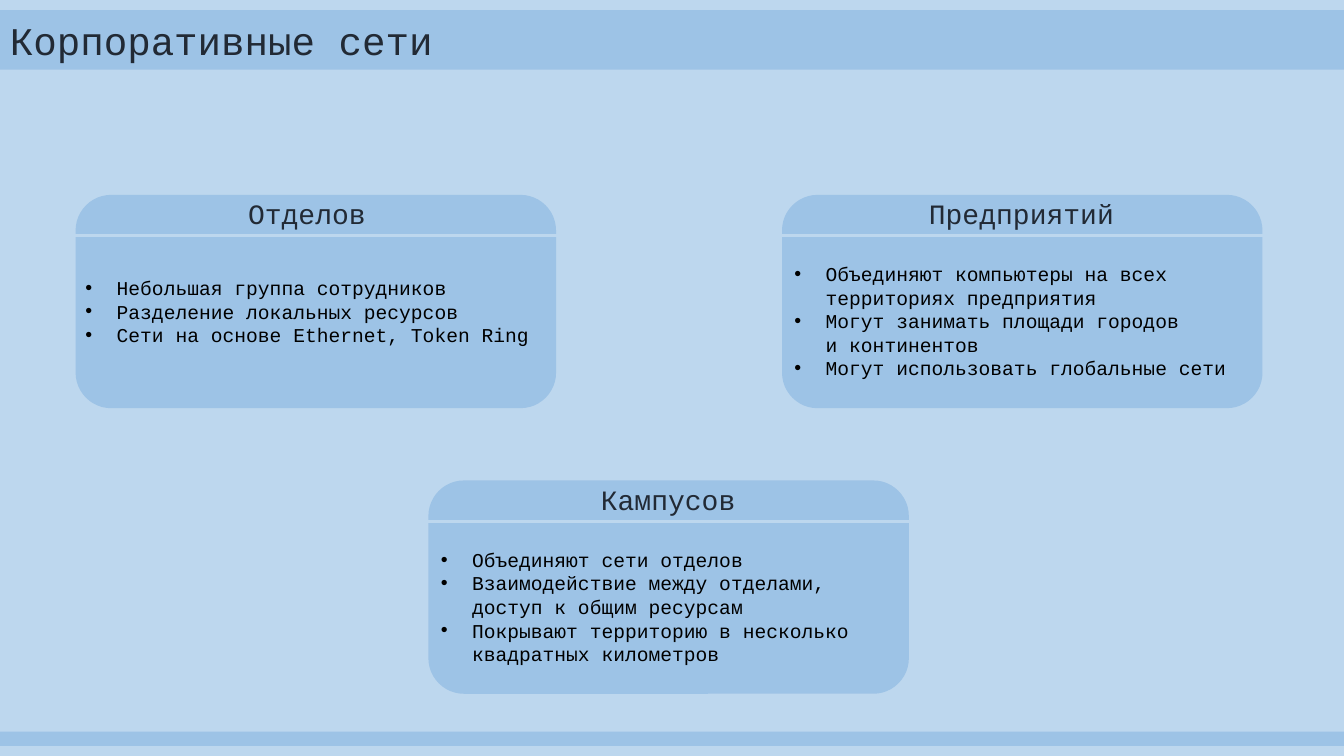
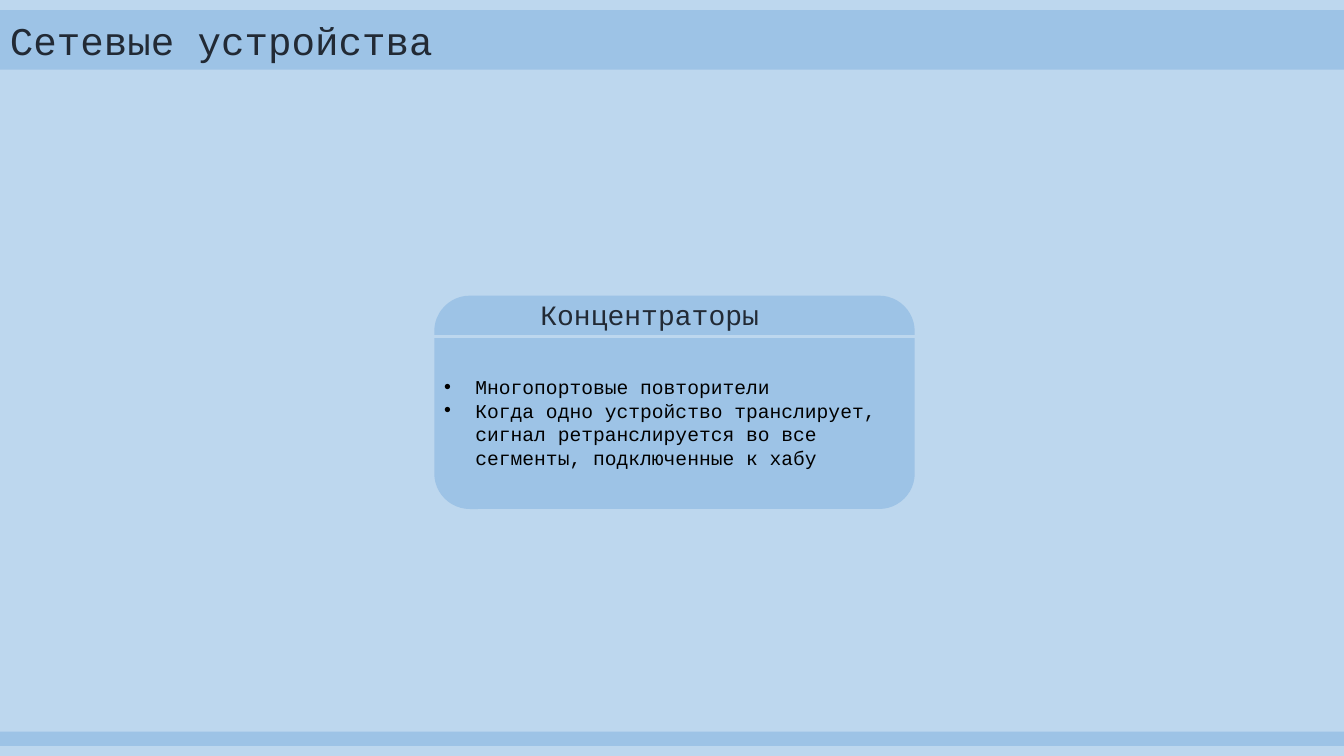
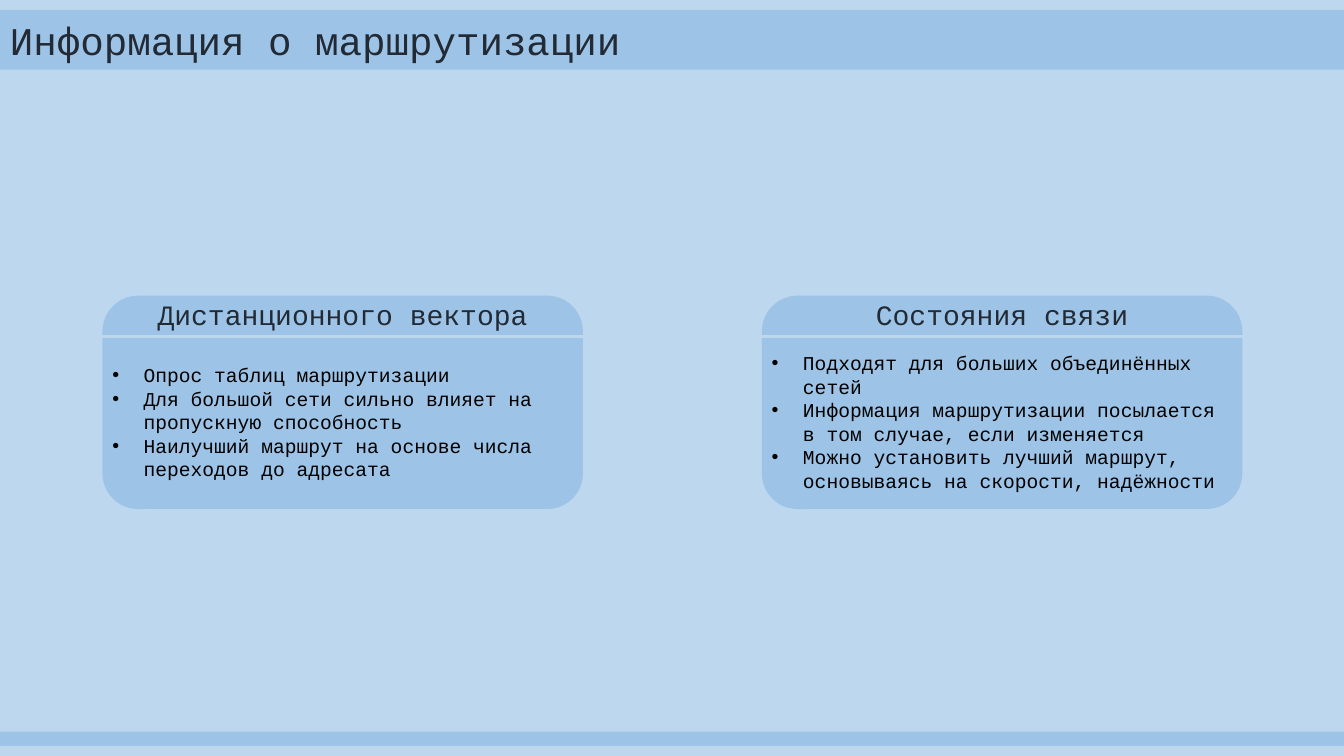
from lxml.etree import SubElement
from pptx import Presentation
from pptx.dml.color import RGBColor
from pptx.enum.shapes import MSO_CONNECTOR, MSO_SHAPE
from pptx.enum.text import MSO_AUTO_SIZE, PP_ALIGN
from pptx.oxml.ns import qn
from pptx.util import Inches, Pt

# The slide is a grid of 160 columns by 90 rows
CELL = Inches(1 / 12)
COLS, ROWS = 160, 90
PALE, BLUE, DARK, BLACK = "BDD7EE", "9DC3E6", "222A35", "000000"
FONT = "Courier New"
FRAME = {"word_wrap": True, "auto_size": MSO_AUTO_SIZE.SHAPE_TO_FIT_TEXT}
HANG = {"marL": str(Inches(0.31)), "indent": str(-Inches(0.31))}

BANDS = [(1.2, 7.1), (87.1, 1.7)]  # top, height
CARD_W, CARD_H = 57.2, 25.4
HEAD_H, RULE_Y = 5.3, 4.85
BODY_W, LINE_H, PAD = 56.9, 2.83, 1.2


def paint(slot, tone):
    """Give a fill, line or background one solid colour from a hex string."""
    slot.solid()
    slot.fore_color.rgb = RGBColor.from_string(tone)


def write(slide, area, lines, size, tone, align=PP_ALIGN.LEFT, dots=False):
    """Add a text box with one paragraph per line, with bullets if asked."""
    frame = slide.shapes.add_textbox(*(round(n * CELL) for n in area)).text_frame
    for key, value in FRAME.items():
        setattr(frame, key, value)
    for i, line in enumerate(lines):
        para = frame.add_paragraph() if i else frame.paragraphs[0]
        para.text, para.alignment = line, align
        for run in para.runs:
            for key, value in {"size": Pt(size), "name": FONT}.items():
                setattr(run.font, key, value)
            paint(run.font.fill, tone)
        for gap in para._p.findall(qn("a:br")):
            SubElement(gap, qn("a:rPr"), sz=str(size * 100))
        if dots:
            props = para._p.get_or_add_pPr()
            for key, value in HANG.items():
                props.set(key, value)
            SubElement(props, qn("a:buFont"), typeface="Arial")
            SubElement(props, qn("a:buChar"), char="•")


# Slide: title, title width, cards
# Card: left, top, heading, heading width, body shift, body middle, body rows, points
DECK = [
    ("Корпоративные сети", 68.2, [
        (9, 23.2, "Отделов", 18.5, 0, 13.9, 3, [
            "Небольшая группа сотрудников",
            "Разделение локальных ресурсов",
            "Сети на основе Ethernet, Token Ring"]),
        (51, 57.2, "Кампусов", 18.5, 0.3, 15.1, 5, [
            "Объединяют сети отделов",
            "Взаимодействие между отделами,\vдоступ к общим ресурсам",
            "Покрывают территорию в несколько\vквадратных километров"]),
        (93.1, 23.2, "Предприятий", 24.6, 0.3, 15.1, 5, [
            "Объединяют компьютеры на всех территориях предприятия",
            "Могут занимать площади городов\vи континентов",
            "Могут использовать глобальные сети"]),
    ]),
    ("Сетевые устройства", 68.2, [
        (51.7, 35.2, "Концентраторы", 34.3, 0, 15.1, 4, [
            "Многопортовые повторители",
            "Когда одно устройство транслирует, сигнал ретранслируется "
            "во все сегменты, подключенные к хабу"]),
    ]),
    ("Информация о маршрутизации", 85, [
        (12.2, 35.2, "Дистанционного вектора", CARD_W, 0, 15.1, 5, [
            "Опрос таблиц маршрутизации",
            "Для большой сети сильно влияет на пропускную способность",
            "Наилучший маршрут на основе числа переходов до адресата"]),
        (90.7, 35.2, "Состояния связи", CARD_W, 0, 15.1, 6, [
            "Подходят для больших объединённых сетей",
            "Информация маршрутизации посылается в том случае, если изменяется",
            "Можно установить лучший маршрут, основываясь на скорости, надёжности"]),
    ]),
]

deck = Presentation()
deck.slide_width, deck.slide_height = COLS * CELL, ROWS * CELL

for title, wide, cards in DECK:
    slide = deck.slides.add_slide(deck.slide_layouts[6])
    paint(slide.background.fill, PALE)

    plates = [(MSO_SHAPE.RECTANGLE, 0, top, COLS, high) for top, high in BANDS]
    plates += [(MSO_SHAPE.ROUNDED_RECTANGLE, card[0], card[1], CARD_W, CARD_H)
               for card in cards]
    for kind, *area in plates:
        plate = slide.shapes.add_shape(kind, *(round(n * CELL) for n in area))
        plate.shadow.inherit = False
        paint(plate.fill, BLUE)
        plate.line.fill.background()

    write(slide, (0, 1.3, wide, 6.8), [title], 28, DARK)

    for left, top, head, span, shift, mid, rows, points in cards:
        ends = (left - 0.8, top + RULE_Y, left + CARD_W + 0.1, top + RULE_Y)
        rule = slide.shapes.add_connector(
            MSO_CONNECTOR.STRAIGHT, *(round(n * CELL) for n in ends))
        paint(rule.line.fill, PALE)
        rule.line.width = Pt(2)
        SubElement(rule._element.spPr, qn("a:effectLst"))

        align = PP_ALIGN.CENTER if span == CARD_W else PP_ALIGN.LEFT
        write(slide, (left + (CARD_W - span) / 2, top - 0.4, span, HEAD_H),
              [head], 20, DARK, align)

        high = PAD + rows * LINE_H
        write(slide, (left + shift, top + mid - high / 2, BODY_W, high),
              points, 14, BLACK, dots=True)

deck.save("out.pptx")
